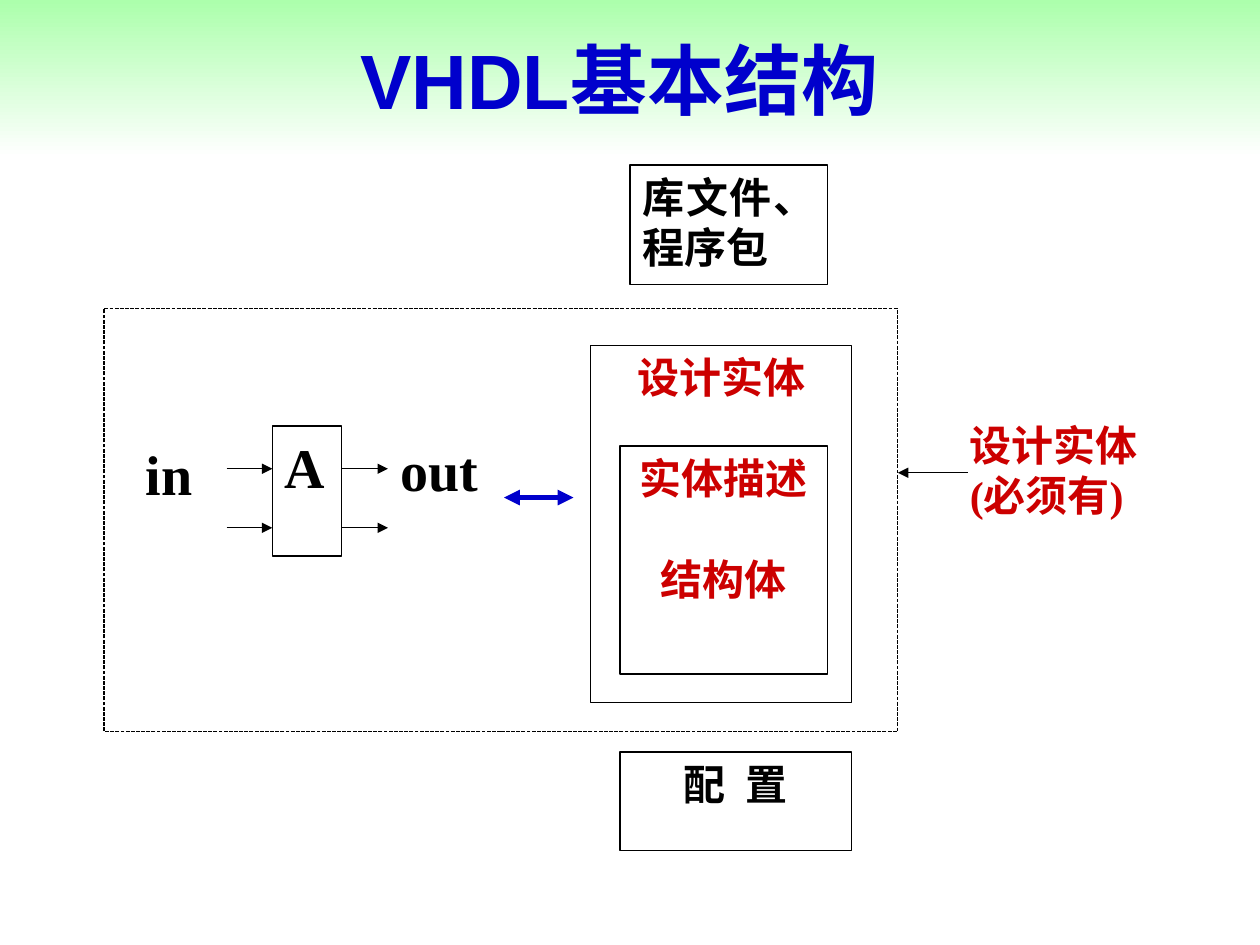
from lxml.etree import SubElement
from pptx import Presentation
from pptx.dml.color import RGBColor
from pptx.enum.dml import MSO_LINE_DASH_STYLE as Dash
from pptx.enum.shapes import MSO_CONNECTOR as Conn, MSO_SHAPE as Shape
from pptx.enum.text import MSO_ANCHOR as Anchor, PP_ALIGN as Align
from pptx.oxml.ns import qn
from pptx.util import Cm, Pt

BLACK, RED, BLUE = "000000", "CC0000", "0000CC"
LEFT, MID, JUST = Align.LEFT, Align.CENTER, Align.JUSTIFY
rgb = RGBColor.from_string


def write(shape, lines, size, color, align):
    frame = shape.text_frame
    frame.word_wrap = True
    frame.vertical_anchor = Anchor.TOP
    frame.text = "\n".join(lines)
    for para in frame.paragraphs:
        para.alignment = align
        font = para.font
        font.name, font.size, font.bold = "Times New Roman", Pt(size), True
        font.color.rgb = rgb(color)
    return frame


def arrow(x1, x2, y, color=BLACK, width=0.75, ends=("tailEnd",)):
    line = shapes.add_connector(Conn.STRAIGHT, Cm(x1), Cm(y), Cm(x2), Cm(y))
    line.line.color.rgb = rgb(color)
    line.line.width = Pt(width)
    for end in ends:
        SubElement(line.line._get_or_add_ln(), qn("a:" + end), type="triangle")
    SubElement(line._element.spPr, qn("a:effectLst"))


prs = Presentation()
prs.slide_width, prs.slide_height = Cm(25.4), Cm(19.05)
slide = prs.slides.add_slide(prs.slide_layouts[5])
shapes = slide.shapes

# Title band
title = shapes.title
title.left, title.top, title.width, title.height = 0, 0, Cm(25.4), Cm(3.18)
title.fill.gradient()
title.fill.gradient_angle = 270
for stop, color, place in zip(title.fill.gradient_stops, ("ACFFAC", "FFFFFF"), (0, 1)):
    stop.color.rgb = rgb(color)
    stop.position = place
write(title, ["VHDL基本结构"], 44, BLUE, MID)
title.text_frame.vertical_anchor = Anchor.MIDDLE
title.text_frame.margin_right = Cm(0.68)
title.text_frame.paragraphs[0].font.name = "Arial"

# Boxes: left, top, width, height, lines, size, colour, alignment
boxes = {
    "library": (12.7, 3.33, 3.99, 2.41, ["库文件、程序包"], 24, BLACK, JUST),
    "design": (11.91, 6.96, 5.26, 7.21, ["设计实体"], 24, RED, MID),
    "entity": (12.5, 8.99, 4.19, 4.6, ["实体描述", "结构体"], 24, RED, MID),
    "config": (12.5, 15.16, 4.67, 1.98, ["配 置"], 24, BLACK, MID),
    "frame": (2.1, 6.22, 16, 8.53, [], 24, BLACK, MID),
    "block": (5.49, 8.59, 1.4, 2.62, ["A"], 32, BLACK, LEFT),
}
made = {}
for name, (x, y, w, h, *text) in boxes.items():
    box = shapes.add_shape(Shape.RECTANGLE, Cm(x), Cm(y), Cm(w), Cm(h))
    box.shadow.inherit = False
    box.fill.background()
    box.line.color.rgb = rgb(BLACK)
    box.line.width = Pt(0.75)
    write(box, *text)
    made[name] = box
made["frame"].line.dash_style = Dash.SQUARE_DOT
made["entity"].text_frame.paragraphs[1].space_before = Pt(29)
# Letter spacing opens the gap between the two characters
run = made["config"].text_frame.paragraphs[0].runs[0]
run._r.get_or_add_rPr().set("spc", "300")

# Labels
labels = [
    (2.69, 8.74, 1.6, 1.98, ["in"], 32, BLACK, LEFT),
    (7.82, 8.66, 2.26, 1.98, ["out"], 32, BLACK, LEFT),
    (19.3, 8.33, 4.06, 3.05, ["设计实体", "(必须有)"], 24, RED, LEFT),
]
for x, y, w, h, *text in labels:
    write(shapes.add_textbox(Cm(x), Cm(y), Cm(w), Cm(h)), *text)

# Ports of block A, then the links between the parts
for x in (4.57, 6.9):
    for y in (9.45, 10.64):
        arrow(x, x + 0.92, y)
arrow(10.16, 11.56, 10.03, BLUE, 3, ("headEnd", "tailEnd"))
arrow(19.51, 18.1, 9.53)

prs.save("out.pptx")
